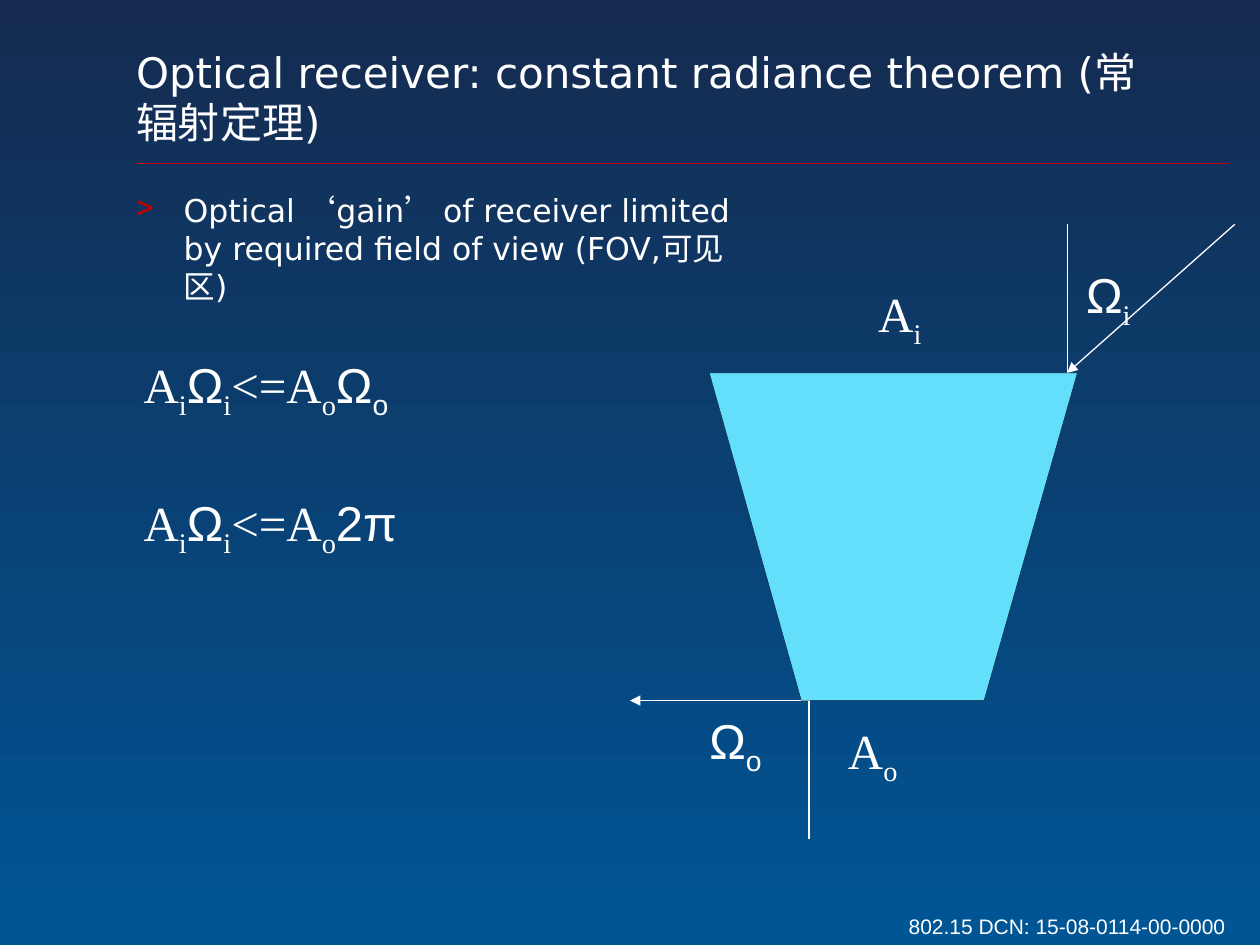
from lxml.etree import SubElement
from pptx import Presentation
from pptx.dml.color import RGBColor
from pptx.enum.shapes import MSO_CONNECTOR as Connector
from pptx.enum.text import MSO_ANCHOR as Anchor, PP_ALIGN as Align
from pptx.oxml.ns import qn
from pptx.util import Inches, Pt

WHITE, RED, CYAN = "FFFFFF", "C50000", "64DFFB"
SANS, SERIF, HEADING = "Arial", "Times New Roman", "DejaVu Sans"


def rgb(code):
    """Turn a hex string into a colour."""
    return RGBColor.from_string(code)


def paint_background(slide, top, bottom):
    """Fill the slide with a vertical gradient."""
    fill = slide.background.fill
    fill.gradient()
    fill.gradient_angle = 270
    for stop, code in zip(fill.gradient_stops, (top, bottom)):
        stop.color.rgb = rgb(code)


def add_box(slide, left, top, width, height, inset=True):
    """Add a wrapping text box and return its frame."""
    frame = slide.shapes.add_textbox(
        Inches(left), Inches(top), Inches(width), Inches(height)).text_frame
    frame.word_wrap = True
    if not inset:
        frame.margin_left = frame.margin_right = 0
        frame.margin_top = frame.margin_bottom = 0
    return frame


def add_run(paragraph, text, size, face, subscript=False):
    """Append a white run, lowered if it is a subscript."""
    run = paragraph.add_run()
    run.text = text
    run.font.size = Pt(size)
    run.font.name = face
    run.font.color.rgb = rgb(WHITE)
    if subscript:
        run.font._element.set("baseline", "-25000")


def add_bullet(paragraph, mark, code, indent):
    """Give the paragraph a coloured bullet with a hanging indent."""
    properties = paragraph._p.get_or_add_pPr()
    properties.set("marL", str(Inches(indent)))
    properties.set("indent", str(-Inches(indent)))
    colour = SubElement(properties, qn("a:buClr"))
    SubElement(colour, qn("a:srgbClr")).set("val", code)
    SubElement(properties, qn("a:buChar")).set("char", mark)


def add_formula(slide, left, top, width, height, terms):
    """Add a formula from (base, base face, subscript, subscript face) terms."""
    paragraph = add_box(slide, left, top, width, height, inset=False).paragraphs[0]
    for base, base_face, subscript, subscript_face in terms:
        add_run(paragraph, base, 28, base_face)
        if subscript:
            add_run(paragraph, subscript, 28, subscript_face, subscript=True)


def add_line(slide, start, end, code=WHITE, arrow=False):
    """Draw a thin straight line, with an arrowhead at its end if asked."""
    line = slide.shapes.add_connector(
        Connector.STRAIGHT, *(Inches(value) for value in start + end))
    line.line.color.rgb = rgb(code)
    line.line.width = Pt(0.75)
    if arrow:
        SubElement(line.line._get_or_add_ln(), qn("a:tailEnd")).set("type", "triangle")
    SubElement(line._element.spPr, qn("a:effectLst"))


def add_concentrator(slide, corners):
    """Draw the tapered body of the receiver."""
    points = [(Inches(x), Inches(y)) for x, y in corners]
    builder = slide.shapes.build_freeform(*points[0], scale=1.0)
    builder.add_line_segments(points[1:], close=True)
    body = builder.convert_to_shape()
    body.shadow.inherit = False
    body.fill.solid()
    body.fill.fore_color.rgb = rgb(CYAN)
    body.line.color.rgb = rgb("000000")
    body.line.width = Pt(0.13)


def main():
    """Build the slide and save it."""
    deck = Presentation()
    deck.slide_width, deck.slide_height = Inches(10), Inches(7.5)
    slide = deck.slides.add_slide(deck.slide_layouts[6])
    paint_background(slide, "152B50", "005595")

    add_line(slide, (1.08, 1.3), (9.75, 1.3), RED)
    footer = add_box(slide, 7.07, 7.2, 2.8, 0.3).paragraphs[0]
    footer.alignment = Align.CENTER
    add_run(footer, "802.15 DCN: 15-08-0114-00-0000", 12, SANS)

    title = add_box(slide, 1.08, 0.17, 8, 1, inset=False)
    title.vertical_anchor = Anchor.BOTTOM
    add_run(title.paragraphs[0],
            "Optical receiver: constant radiance theorem (常辐射定理)", 24, HEADING)

    point = add_box(slide, 0.98, 1.47, 4.96, 4.35).paragraphs[0]
    add_bullet(point, ">", RED, 0.38)
    add_run(point, "Optical ‘gain’ of receiver limited by required field of view "
            "(FOV,可见区)", 18, HEADING)

    inlet, outlet = (8.47, 2.96), (6.42, 5.56)
    add_line(slide, (9.8, 1.78), inlet, arrow=True)
    add_line(slide, inlet, (8.47, 1.78))
    add_line(slide, (6.42, 6.66), (6.42, 5.48))
    add_line(slide, outlet, (5, 5.56), arrow=True)

    area_in = ("A", SERIF, "i", SERIF)
    area_out = ("A", SERIF, "o", SERIF)
    angle_in = ("Ω", SANS, "i", SERIF)
    angle_out = ("Ω", SANS, "ο", SANS)
    bound = ("<=A", SERIF, "o", SERIF)
    for left, top, width, term in (
            (8.62, 2.1, 0.71, angle_in), (5.63, 5.64, 0.71, angle_out),
            (6.97, 2.25, 0.95, area_in), (6.73, 5.72, 0.95, area_out)):
        add_formula(slide, left, top, width, 0.47, [term])

    add_concentrator(slide, [(6.36, 5.56), (7.81, 5.56), (8.55, 2.96), (5.63, 2.96)])
    for top, last in ((2.81, angle_out), (3.91, ("2π", SANS, "", SANS))):
        add_formula(slide, 1.14, top, 2.44, 1.87, [area_in, angle_in, bound, last])

    deck.save("out.pptx")


if __name__ == "__main__":
    main()
